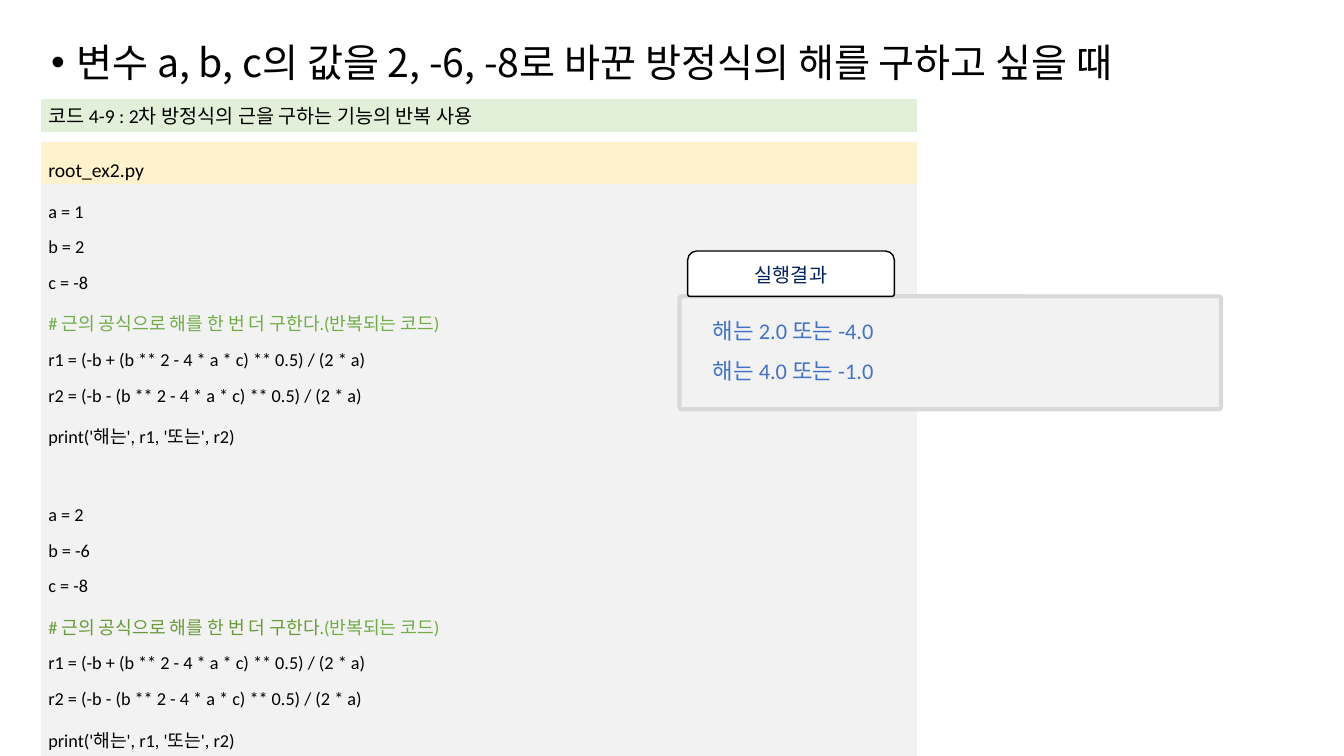
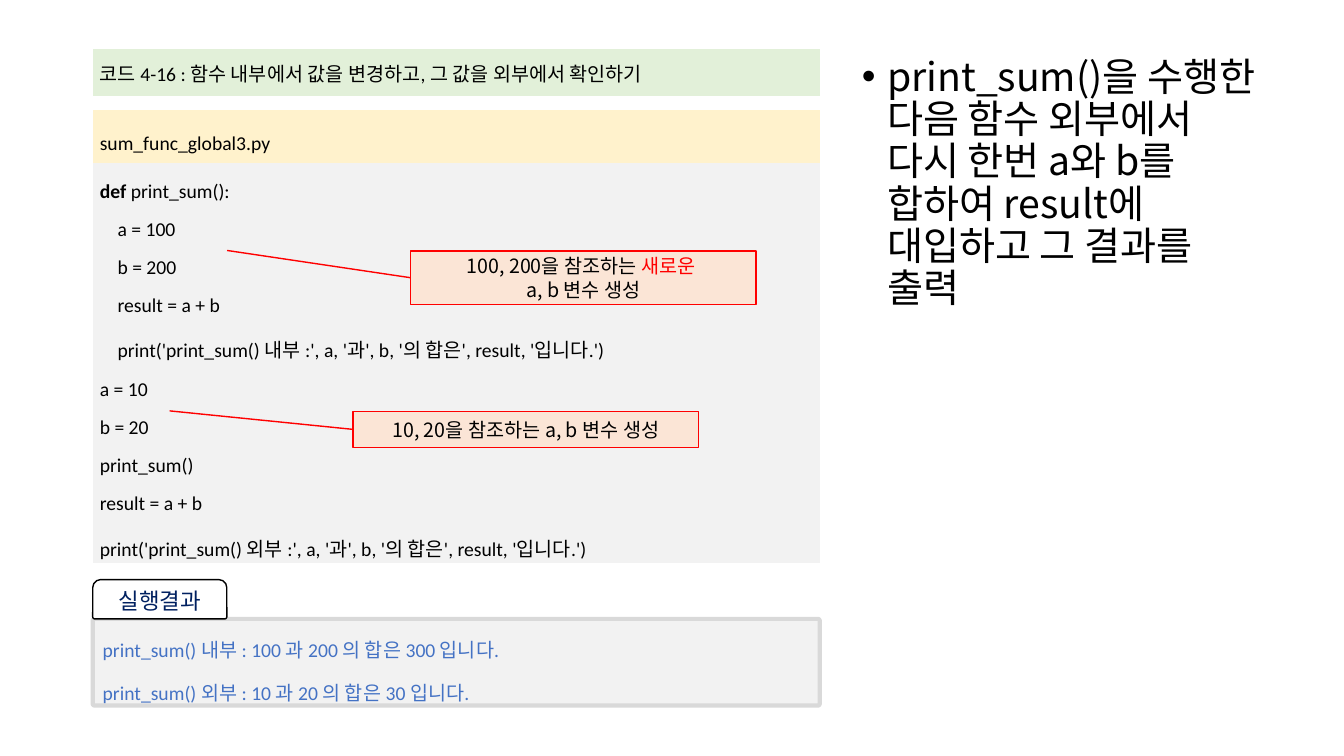
"""Build two slides on Python code reuse and variable scope."""
from lxml import etree
from pptx import Presentation
from pptx.dml.color import RGBColor
from pptx.enum.shapes import MSO_SHAPE
from pptx.enum.text import MSO_ANCHOR, PP_ALIGN
from pptx.oxml.ns import qn
from pptx.util import Inches, Pt

ROUND_RECT = MSO_SHAPE.ROUNDED_RECTANGLE
TAB = MSO_SHAPE.ROUND_2_SAME_RECTANGLE
CALLOUT = MSO_SHAPE.LINE_CALLOUT_1
MIDDLE = MSO_ANCHOR.MIDDLE
CENTER = PP_ALIGN.CENTER
LEFT = PP_ALIGN.LEFT

COLORS = {
    "black": "000000", "white": "FFFFFF", "caption": "E2F0D9", "file": "FFF2CC",
    "panel": "F2F2F2", "frame": "D9D9D9", "navy": "002060", "result": "4472C4",
    "comment": "70AD47", "comment_dark": "699B37", "callout": "FBE5D6", "red": "FF0000",
}
LATIN = "Calibri"
KOREAN = "Noto Sans CJK KR"
NO_GRID = "{2D5ABB26-0587-4C30-8999-92F81FD0307C}"
CODE_SPACING = 1.6

ROOTS = [
    "r1 = (-b + (b ** 2 - 4 * a * c) ** 0.5) / (2 * a)",
    "r2 = (-b - (b ** 2 - 4 * a * c) ** 0.5) / (2 * a)",
    "print('해는', r1, '또는', r2)",
]
COMMENT = "# 근의 공식으로 해를 한 번 더 구한다."
REPEATED = ("(반복되는 코드)", "comment")
ROOT_CODE = [
    "a = 1", "b = 2", "c = -8", [(COMMENT, "comment"), REPEATED], *ROOTS,
    "a = 2", "b = -6", "c = -8", [(COMMENT, "comment_dark"), REPEATED], *ROOTS,
]
SUM_CODE = [
    [("def ", "black", True), ("print_sum():", "black")],
    "    a = 100",
    "    b = 200",
    "    result = a + b",
    "    print('print_sum() 내부 :', a, '과', b, '의 합은', result, '입니다.')",
    "a = 10",
    "b = 20",
    "print_sum()",
    "result = a + b",
    "print('print_sum() 외부 :', a, '과', b, '의 합은', result, '입니다.')",
]


def rgb(name):
    """Return the named colour."""
    return RGBColor.from_string(COLORS[name])


def add_run(p, text, size, color="black", bold=False, font=LATIN):
    """Add one styled run to a paragraph."""
    r = p.add_run()
    r.text = text
    r.font.size = Pt(size)
    r.font.name = font
    r.font.bold = bold
    r.font.color.rgb = rgb(color)
    etree.SubElement(r.font._element, qn("a:ea"), typeface=KOREAN)


def write(tf, lines, size, color="black", font=LATIN, align=LEFT, spacing=1.0,
          after=0):
    """Write lines, each a string or a list of (text, color, bold) runs."""
    for i, line in enumerate(lines):
        p = tf.add_paragraph() if i else tf.paragraphs[0]
        p.alignment = align
        p.line_spacing = spacing
        p.space_after = Pt(after)
        for run in [(line, color)] if isinstance(line, str) else line:
            add_run(p, run[0], size, *run[1:], font=font)


def add_text(s, box, lines, size, **style):
    """Add a wrapping text box and return its frame."""
    tf = s.shapes.add_textbox(*map(Inches, box)).text_frame
    tf.word_wrap = True
    write(tf, lines, size, **style)
    return tf


def add_bullet(s, box, text):
    """Add the main bulleted statement."""
    tf = add_text(s, box, [text], 28, font=KOREAN, spacing=0.9)
    pPr = tf.paragraphs[0]._p.get_or_add_pPr()
    pPr.set("marL", str(Inches(0.25)))
    pPr.set("indent", str(-Inches(0.25)))
    etree.SubElement(pPr, qn("a:buFont"), typeface="Arial")
    etree.SubElement(pPr, qn("a:buChar"), char="•")


def add_box(s, kind, box, fill, line, width, adjustments):
    """Add a filled, outlined preset shape."""
    sp = s.shapes.add_shape(kind, *map(Inches, box))
    sp.shadow.inherit = False
    sp.fill.solid()
    sp.fill.fore_color.rgb = rgb(fill)
    sp.line.color.rgb = rgb(line)
    sp.line.width = Pt(width)
    for i, value in enumerate(adjustments):
        sp.adjustments[i] = value
    sp.text_frame.vertical_anchor = MIDDLE
    return sp


def add_code_table(s, left, top, width, heights, caption, filename, code, size):
    """Add the caption, file name and code rows and return the code frame."""
    box = (left, top, width, sum(heights))
    table = s.shapes.add_table(4, 1, *map(Inches, box)).table
    table.first_row = table.horz_banding = False
    table._tbl.tblPr.find(qn("a:tableStyleId")).text = NO_GRID
    rows = [
        ([caption], "caption", 14, 1.0),
        ([], None, 1, 1.0),
        ([filename], "file", 14, CODE_SPACING),
        (code, "panel", size, CODE_SPACING),
    ]
    for i, (lines, fill, pt, spacing) in enumerate(rows):
        table.rows[i].height = Inches(heights[i])
        cell = table.cell(i, 0)
        cell.margin_left = cell.margin_right = Inches(0.07)
        cell.margin_top = cell.margin_bottom = Inches(0.02)
        cell.vertical_anchor = MIDDLE
        if fill:
            cell.fill.solid()
            cell.fill.fore_color.rgb = rgb(fill)
            write(cell.text_frame, lines, pt, spacing=spacing)
        else:
            cell.fill.background()
            p = cell.text_frame.paragraphs[0]
            etree.SubElement(p._p, qn("a:endParaRPr"), sz=str(pt * 100))
    return table.cell(3, 0).text_frame


def add_result_panel(s, panel, tab, size):
    """Add the result panel with its tab label."""
    add_box(s, ROUND_RECT, panel, "panel", "frame", 3, [0.02])
    sp = add_box(s, TAB, tab, "white", "black", 1, [0.2, 0.05])
    write(sp.text_frame, ["실행결과"], size, "navy", KOREAN, CENTER)


def add_callout(s, box, lines):
    """Add a callout whose leader runs to the code on its left."""
    sp = add_box(s, CALLOUT, box, "callout", "red", 1, [0.5, 0, -0.01, -0.53])
    sp.text_frame.word_wrap = True
    write(sp.text_frame, lines, 14, font=KOREAN, align=CENTER)


def build_repeat_slide(s):
    """Show the root formula repeated for new values."""
    add_bullet(s, (0.41, 0.38, 12.16, 0.6),
               "변수 a, b, c의 값을 2, -6, -8로 바꾼 방정식의 해를 구하고 싶을 때")
    tf = add_code_table(s, 0.41, 0.98, 8.69, (0.33, 0.1, 0.41, 5.68),
                        "코드 4-9 : 2차 방정식의 근을 구하는 기능의 반복 사용",
                        "root_ex2.py", ROOT_CODE, 13)
    tf.paragraphs[ROOT_CODE.index("a = 2")].space_before = Pt(30)
    add_result_panel(s, (6.74, 2.94, 5.37, 1.12), (6.82, 2.49, 2.05, 0.45), 14)
    add_text(s, (6.97, 2.94, 4.71, 0.42), ["해는 2.0 또는 -4.0"], 16,
             color="result", spacing=CODE_SPACING)
    add_text(s, (6.97, 3.49, 2.94, 0.37), ["해는 4.0 또는 -1.0"], 16, color="result")


def build_scope_slide(s):
    """Show local and global variables side by side."""
    add_bullet(s, (8.45, 0.52, 4.12, 4.76),
               "print_sum()을 수행한 다음 함수 외부에서 다시 한번 a와 b를 합하여 "
               "result에 대입하고 그 결과를 출력")
    add_code_table(s, 0.92, 0.49, 7.21, (0.46, 0.14, 0.53, 3.97),
                   "코드 4-16 : 함수 내부에서 값을 변경하고, 그 값을 외부에서 확인하기",
                   "sum_func_global3.py", SUM_CODE, 14)
    add_result_panel(s, (0.92, 6.14, 7.21, 0.86), (0.92, 5.75, 1.33, 0.39), 16)
    add_text(s, (0.92, 6.14, 6.58, 0.87),
             ["print_sum() 내부 : 100 과 200 의 합은 300 입니다.",
              "print_sum() 외부 : 10 과 20 의 합은 30 입니다."],
             14, color="result", spacing=CODE_SPACING, after=4)
    add_callout(s, (3.5, 4.08, 3.43, 0.36), ["10, 20을 참조하는 a, b 변수 생성"])
    add_callout(s, (4.07, 2.49, 3.43, 0.53),
                [[("100, 200을 참조하는 ", "black"), ("새로운 ", "red")],
                 "a, b 변수 생성"])


def main():
    """Build and save the presentation."""
    prs = Presentation()
    prs.slide_width, prs.slide_height = Inches(13.33), Inches(7.5)
    for build in (build_repeat_slide, build_scope_slide):
        build(prs.slides.add_slide(prs.slide_layouts[6]))
    prs.save("out.pptx")


if __name__ == "__main__":
    main()
